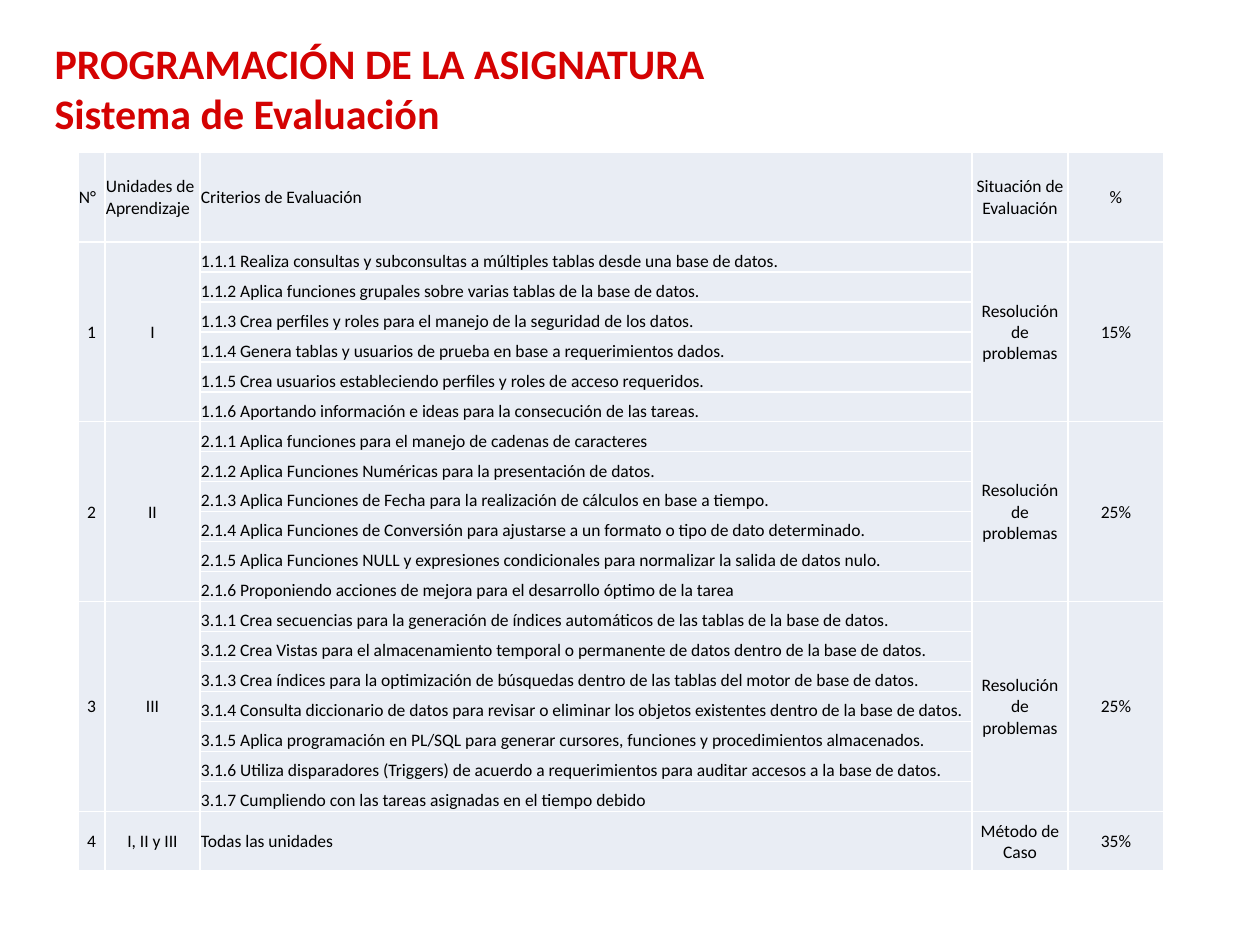
from dataclasses import dataclass

from lxml.etree import SubElement
from pptx import Presentation
from pptx.dml.color import RGBColor
from pptx.enum.text import MSO_ANCHOR as ANCHOR, MSO_AUTO_SIZE as AUTO, PP_ALIGN as ALIGN
from pptx.oxml.ns import qn
from pptx.util import Emu, Pt


@dataclass(frozen=True)
class Theme:
    font: str = "Calibri"
    title: RGBColor = RGBColor(0xD4, 0x02, 0x02)
    text: RGBColor = RGBColor(0, 0, 0)
    cell: RGBColor = RGBColor(0xE9, 0xED, 0xF4)
    border: str = "FFFFFF"
    border_width: int = Pt(1)
    title_size: int = Pt(24)
    cell_size: int = Pt(10)


THEME = Theme()
EMU_PER_PX = 914400 / 126
TITLE_LINES = ["PROGRAMACIÓN DE LA ASIGNATURA", "Sistema de Evaluación"]
HEADERS = ["N°", "Unidades de Aprendizaje", "Criterios de Evaluación",
           "Situación de Evaluación", "%"]
COL_WIDTHS = [27, 95, 772, 96, 96]
HEADER_HEIGHT, CRITERION_HEIGHT, FINAL_HEIGHT = 90, 30, 60
CRITERIA_COL = 2
UNITS = [
    ("1", "I", "Resolución de problemas", "15%", [
        "1.1.1 Realiza consultas y subconsultas a múltiples tablas desde una base de datos.",
        "1.1.2 Aplica funciones grupales sobre varias tablas de la base de datos.",
        "1.1.3 Crea perfiles y roles para el manejo de la seguridad de los datos.",
        "1.1.4 Genera tablas y usuarios de prueba en base a requerimientos dados.",
        "1.1.5 Crea usuarios estableciendo perfiles y roles de acceso requeridos.",
        "1.1.6 Aportando información e ideas para la consecución de las tareas.",
    ]),
    ("2", "II", "Resolución de problemas", "25%", [
        "2.1.1 Aplica funciones para el manejo de cadenas de caracteres",
        "2.1.2 Aplica Funciones Numéricas para la presentación de datos.",
        "2.1.3 Aplica Funciones de Fecha para la realización de cálculos en base a tiempo.",
        "2.1.4 Aplica Funciones de Conversión para ajustarse a un formato o tipo de dato determinado.",
        "2.1.5 Aplica Funciones NULL y expresiones condicionales para normalizar la salida de datos nulo.",
        "2.1.6 Proponiendo acciones de mejora para el desarrollo óptimo de la tarea",
    ]),
    ("3", "III", "Resolución de problemas", "25%", [
        "3.1.1 Crea secuencias para la generación de índices automáticos de las tablas de la base de datos.",
        "3.1.2 Crea Vistas para el almacenamiento temporal o permanente de datos dentro de la base de datos.",
        "3.1.3 Crea índices para la optimización de búsquedas dentro de las tablas del motor de base de datos.",
        "3.1.4 Consulta diccionario de datos para revisar o eliminar los objetos existentes dentro de la base de datos.",
        "3.1.5 Aplica programación en PL/SQL para generar cursores, funciones y procedimientos almacenados.",
        "3.1.6 Utiliza disparadores (Triggers) de acuerdo a requerimientos para auditar accesos a la base de datos.",
        "3.1.7 Cumpliendo con las tareas asignadas en el tiempo debido",
    ]),
    ("4", "I, II y III", "Método de Caso", "35%", ["Todas las unidades"]),
]


def px(n):
    return Emu(round(n * EMU_PER_PX))


def add_run(p, text, size, color, bold=False):
    r = p.add_run()
    r.text = text
    r.font.name, r.font.size, r.font.bold = THEME.font, size, bold
    r.font.color.rgb = color


prs = Presentation()
prs.slide_width, prs.slide_height = px(1260), px(945)
s = prs.slides.add_slide(prs.slide_layouts[5])

title = s.shapes.title
title.left, title.top, title.width, title.height = px(42), px(24), px(1145), px(127)
tf = title.text_frame
tf.auto_size, tf.word_wrap, tf.vertical_anchor = AUTO.NONE, True, ANCHOR.MIDDLE
p = tf.paragraphs[0]
p.alignment = ALIGN.LEFT
for i, line in enumerate(TITLE_LINES):
    if i:
        p.add_line_break()
    add_run(p, line, THEME.title_size, THEME.title, bold=True)

# Unit columns carry text only in the first row of each unit
rows, spans = [HEADERS], []
for number, unit, situation, weight, criteria in UNITS:
    spans.append((len(rows), len(criteria)))
    for i, criterion in enumerate(criteria):
        rows.append(["", "", criterion, "", ""] if i
                    else [number, unit, criterion, situation, weight])
last_row = len(rows) - 1
heights = [HEADER_HEIGHT] + [CRITERION_HEIGHT] * (last_row - 1) + [FINAL_HEIGHT]

table = s.shapes.add_table(len(rows), len(HEADERS), px(78), px(152),
                           px(sum(COL_WIDTHS)), px(sum(heights))).table
table.first_row = table.horz_banding = False
for col, width in zip(table.columns, COL_WIDTHS):
    col.width = px(width)
for row, height in zip(table.rows, heights):
    row.height = px(height)

for i, texts in enumerate(rows):
    for j, text in enumerate(texts):
        cell = table.cell(i, j)
        cell.margin_left = cell.margin_right = cell.margin_top = px(1)
        cell.margin_bottom = 0
        is_criterion = j == CRITERIA_COL and 0 < i < last_row
        cell.vertical_anchor = ANCHOR.BOTTOM if is_criterion else ANCHOR.MIDDLE
        tc_pr = cell._tc.get_or_add_tcPr()
        for side in ("lnL", "lnR", "lnT", "lnB"):
            ln = SubElement(tc_pr, qn(f"a:{side}"), w=str(THEME.border_width))
            fill = SubElement(ln, qn("a:solidFill"))
            SubElement(fill, qn("a:srgbClr"), val=THEME.border)
        cell.fill.solid()
        cell.fill.fore_color.rgb = THEME.cell
        p = cell.text_frame.paragraphs[0]
        left = j == CRITERIA_COL or (i == 0 and j < CRITERIA_COL)
        p.alignment = ALIGN.LEFT if left else ALIGN.CENTER
        add_run(p, text, THEME.cell_size, THEME.text)

for start, count in spans:
    if count > 1:
        for j in range(len(HEADERS)):
            if j != CRITERIA_COL:
                table.cell(start, j).merge(table.cell(start + count - 1, j))

prs.save("out.pptx")
